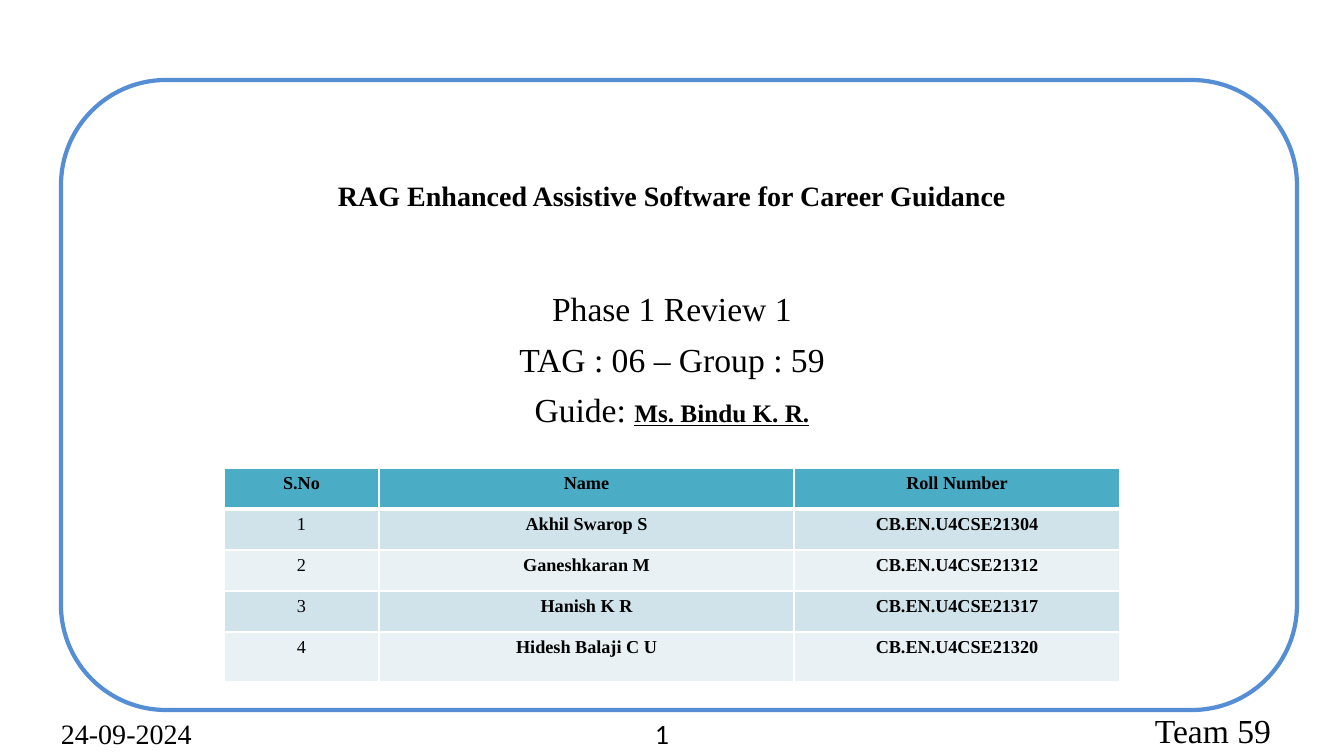
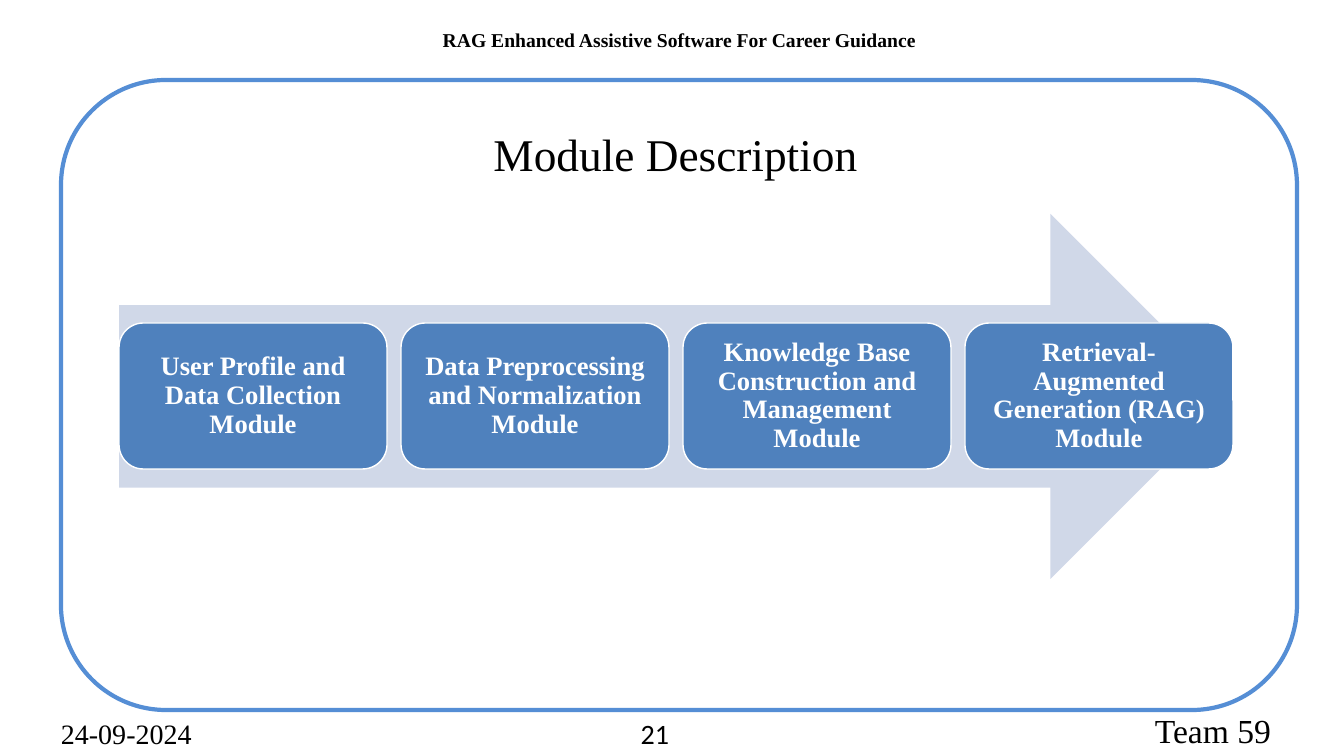
from lxml import etree
from pptx import Presentation
from pptx.dml.color import RGBColor
from pptx.enum.shapes import MSO_SHAPE
from pptx.enum.text import MSO_ANCHOR, MSO_AUTO_SIZE, PP_ALIGN
from pptx.oxml.ns import qn
from pptx.util import Emu, Pt

ROUND, ARROW = MSO_SHAPE.ROUNDED_RECTANGLE, MSO_SHAPE.RIGHT_ARROW
LEFT, CENTER, RIGHT = PP_ALIGN.LEFT, PP_ALIGN.CENTER, PP_ALIGN.RIGHT
TOP, MIDDLE, BOTTOM = MSO_ANCHOR.TOP, MSO_ANCHOR.MIDDLE, MSO_ANCHOR.BOTTOM

BLACK = RGBColor(0x00, 0x00, 0x00)
WHITE = RGBColor(0xFF, 0xFF, 0xFF)
FRAME = RGBColor(0x55, 0x8E, 0xD5)
HEAD = RGBColor(0x4B, 0xAC, 0xC6)
BANDS = [RGBColor(0xD0, 0xE3, 0xEA), RGBColor(0xE9, 0xF1, 0xF5)]
PALE = RGBColor(0xD0, 0xD8, 0xE8)
BLUE = RGBColor(0x4F, 0x81, 0xBD)
SERIF, SANS = "Times New Roman", "Calibri"


def px(*nums):
    """Turn whole pixels (100.8 to the inch) into EMU."""
    return [Emu(round(n * 914400 / 100.8)) for n in nums]


def write(frame, lines, size, align=CENTER, anchor=TOP, bold=False,
          color=BLACK, font=SERIF, space=1.0, before=0):
    """Fill a text frame; each line is a list of runs (text, changes)."""
    frame.word_wrap = True
    frame.auto_size = MSO_AUTO_SIZE.NONE
    frame.vertical_anchor = anchor
    for i, line in enumerate(lines):
        para = frame.add_paragraph() if i else frame.paragraphs[0]
        para.alignment = align
        para.line_spacing = space
        para.space_before = Pt(before)
        for text, look in line:
            run = para.add_run()
            run.text = text
            run.font.name = font
            run.font.size = Pt(look.get("size", size))
            run.font.bold = look.get("bold", bold)
            run.font.underline = look.get("under", False)
            run.font.color.rgb = color


prs = Presentation()
prs.slide_width, prs.slide_height = px(1344, 756)

# Both slides: title, frame and footer
pages = [
    ("RAG Enhanced Assistive Software for Career Guidance",
     (168, 107, 1008, 145), 20, True, 1.0, 40, "1"),
    ("Module Description",
     (286, 134, 779, 52), 32.4, False, 0.9, 5, "21"),
]
slides = []
for name, place, size, bold, space, foot, number in pages:
    slide = prs.slides.add_slide(prs.slide_layouts[5])
    slides.append(slide)
    title = slide.shapes.title
    title.left, title.top, title.width, title.height = px(*place)
    write(title.text_frame, [[(name, {})]], size, anchor=BOTTOM,
          bold=bold, space=space)
    title.text_frame.margin_bottom = px(foot)[0]

    frame = slide.shapes.add_shape(ROUND, *px(61, 80, 1236, 630))
    frame.shadow.inherit = False
    frame.fill.background()
    frame.line.color.rgb = FRAME
    frame.line.width = Pt(3)

    for text, place, size, align, font in [
        ("24-09-2024", (51, 713, 302, 40), 20, LEFT, SERIF),
        (number, (377, 713, 302, 40), 20, RIGHT, SANS),
        ("Team 59", (1115, 710, 196, 40), 24, CENTER, SERIF),
    ]:
        box = slide.shapes.add_textbox(*px(*place))
        write(box.text_frame, [[(text, {})]], size, align, MIDDLE, font=font)

cover, flow = slides

# Cover: review details
box = cover.shapes.add_textbox(*px(168, 288, 1008, 170))
write(box.text_frame, [
    [("Phase 1 Review 1", {})],
    [("TAG : 06 – Group : 59", {})],
    [("Guide: ", {}),
     ("Ms. Bindu K. R.", {"size": 18, "bold": True, "under": True})],
], 24, space=0.9, before=10)

# Cover: team table
rows = [
    ("S.No", "Name", "Roll Number"),
    ("1", "Akhil Swarop S", "CB.EN.U4CSE21304"),
    ("2", "Ganeshkaran M", "CB.EN.U4CSE21312"),
    ("3", "Hanish K R", "CB.EN.U4CSE21317"),
    ("4", "Hidesh Balaji C U", "CB.EN.U4CSE21320"),
]
table = cover.shapes.add_table(5, 3, *px(224, 468, 896, 214)).table
for col, width in zip(table.columns, px(155, 415, 326)):
    col.width = width
for row, height in zip(table.rows, px(41, 41, 41, 41, 50)):
    row.height = height
for r, row in enumerate(rows):
    for c, text in enumerate(row):
        cell = table.cell(r, c)
        props = cell._tc.get_or_add_tcPr()
        for side in ("lnL", "lnR", "lnT", "lnB"):
            thick = (r, side) in ((0, "lnB"), (1, "lnT"))
            edge = etree.SubElement(props, qn("a:" + side),
                                    w=str(Pt(3 if thick else 1)))
            paint = etree.SubElement(edge, qn("a:solidFill"))
            etree.SubElement(paint, qn("a:srgbClr"), val=str(WHITE))
        cell.fill.solid()
        cell.fill.fore_color.rgb = BANDS[(r - 1) % 2] if r else HEAD
        bold = r == 0 or c > 0
        write(cell.text_frame, [[(text, {})]], 13, bold=bold)

# Flow: running title
box = flow.shapes.add_textbox(*px(248, 19, 863, 60))
write(box.text_frame,
      [[("RAG Enhanced Assistive Software For Career Guidance", {})]],
      14, bold=True, space=1.15)

# Flow: arrow behind the modules
arrow = flow.shapes.add_shape(ARROW, *px(119, 214, 1114, 365))
arrow.shadow.inherit = False
arrow.fill.solid()
arrow.fill.fore_color.rgb = PALE
arrow.line.fill.background()

# Flow: modules at an equal pitch
steps = [
    "User Profile and Data Collection Module",
    "Data Preprocessing and Normalization Module",
    "Knowledge Base Construction and Management Module",
    "Retrieval-Augmented Generation (RAG) Module",
]
for i, text in enumerate(steps):
    step = flow.shapes.add_shape(ROUND, *px(119 + 282 * i, 323, 268, 146))
    step.shadow.inherit = False
    step.fill.solid()
    step.fill.fore_color.rgb = BLUE
    step.line.color.rgb = WHITE
    step.line.width = Pt(1)
    body = step.text_frame
    write(body, [[(text, {})]], 19, anchor=MIDDLE, bold=True,
          color=WHITE, space=0.9)
    (body.margin_left, body.margin_right,
     body.margin_top, body.margin_bottom) = px(8, 8, 8, 8)

prs.save("out.pptx")
